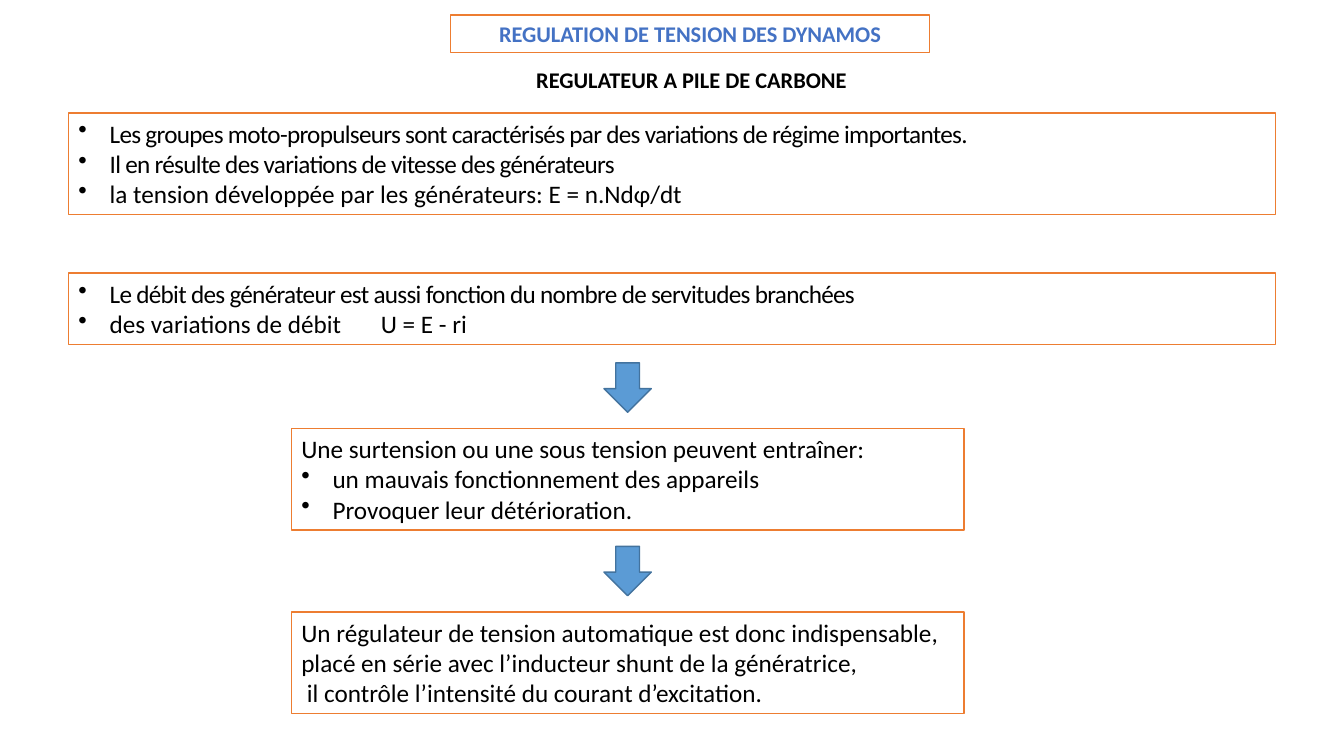
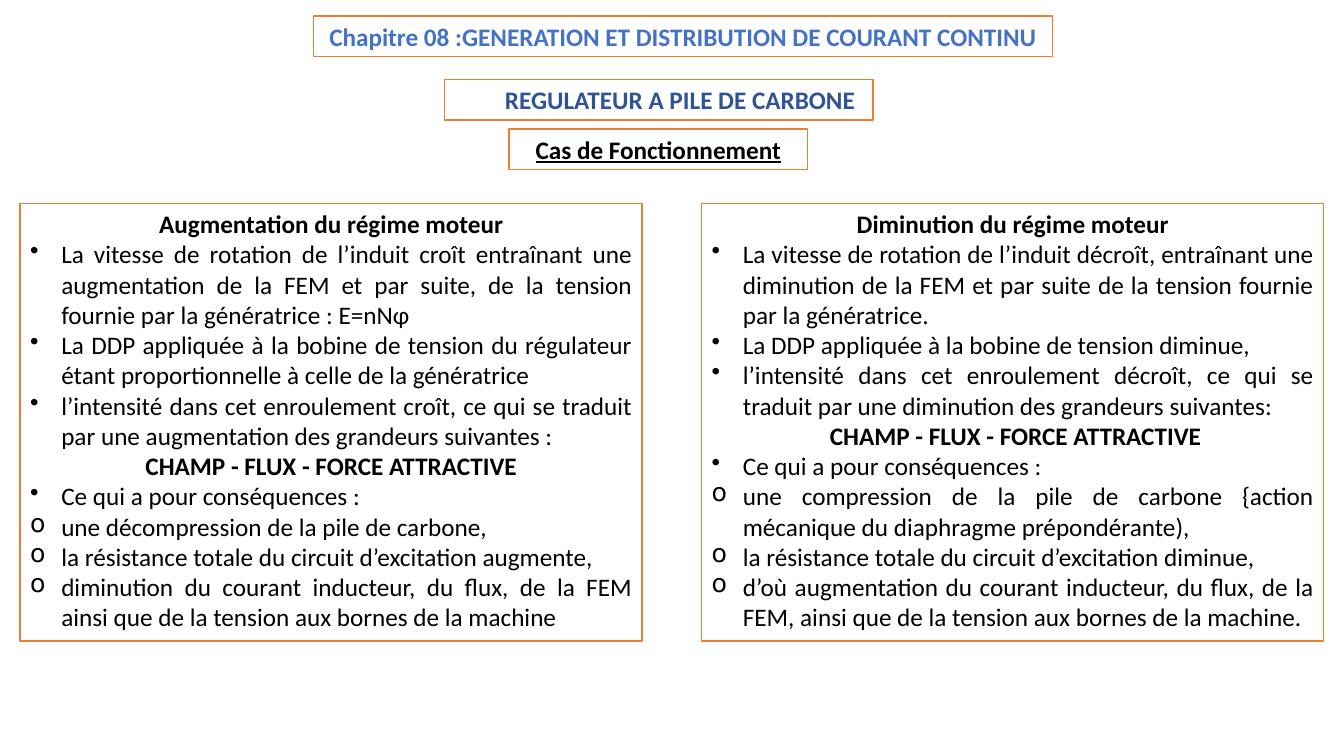
from lxml.etree import SubElement
from pptx import Presentation
from pptx.dml.color import RGBColor
from pptx.enum.shapes import MSO_SHAPE as SHAPE
from pptx.enum.text import MSO_ANCHOR as ANCHOR, PP_ALIGN as ALIGN
from pptx.oxml.ns import qn
from pptx.util import Inches, Pt

COLORS = {
    "paper": "FFFFFF",
    "ink": "000000",
    "border": "ED7D31",
    "title": "4472C4",
    "subtitle": "2F5496",
    "arrow": "5B9BD5",
    "arrow_edge": "43739E",
}
FONT = "Calibri"
HANG = 0.31

STYLES = {
    "plain": {"align": ALIGN.JUSTIFY},
    "dot": {"align": ALIGN.JUSTIFY, "bullet": "•"},
    "tight": {"align": ALIGN.JUSTIFY, "bullet": "•", "spacing": -0.5},
    "tabbed": {"bullet": "•"},
    "circle": {"align": ALIGN.JUSTIFY, "bullet": "o"},
    "heading": {"align": ALIGN.CENTER, "bold": True},
    "underlined": {"align": ALIGN.CENTER, "bold": True, "underline": True},
    "title": {"align": ALIGN.CENTER, "bold": True, "color": "title"},
    "indented": {"bold": True, "indent": 0.5},
}

FACTS = [
    ("tight", "Les groupes moto-propulseurs sont caractérisés par des variations de régime importantes."),
    ("tight", "Il en résulte des variations de vitesse des générateurs"),
    ("dot", "la tension développée par les générateurs: E = n.Ndφ/dt"),
]
LOAD = [
    ("tight", "Le débit des générateur est aussi fonction du nombre de servitudes branchées"),
    ("tabbed", "des variations de débit\tU = E - ri"),
]
EFFECTS = [
    ("plain", "Une surtension ou une sous tension peuvent entraîner:"),
    ("dot", "un mauvais fonctionnement des appareils"),
    ("dot", "Provoquer leur détérioration."),
]
SOLUTION = [
    ("plain", "Un régulateur de tension automatique est donc indispensable, "),
    ("plain", "placé en série avec l’inducteur shunt de la génératrice,"),
    ("plain", " il contrôle l’intensité du courant d’excitation."),
]
INCREASE = [
    ("heading", "Augmentation du régime moteur"),
    ("dot", "La vitesse de rotation de l’induit croît entraînant une augmentation de la FEM "
            "et par suite, de la tension fournie par la génératrice : E=nNφ"),
    ("dot", "La DDP appliquée à la bobine de tension du régulateur étant proportionnelle "
            "à celle de la génératrice"),
    ("dot", "l’intensité dans cet enroulement croît, ce qui se traduit par une augmentation "
            "des grandeurs suivantes :"),
    ("heading", "CHAMP - FLUX - FORCE ATTRACTIVE"),
    ("dot", "Ce qui a pour conséquences :"),
    ("circle", "une décompression de la pile de carbone,"),
    ("circle", "la résistance totale du circuit d’excitation augmente,"),
    ("circle", "diminution du courant inducteur, du flux, de la FEM ainsi que de la tension "
               "aux bornes de la machine"),
]
DECREASE = [
    ("heading", "Diminution du régime moteur"),
    ("dot", "La vitesse de rotation de l’induit décroît, entraînant une diminution de la FEM "
            "et par suite de la tension fournie par la génératrice."),
    ("dot", "La DDP appliquée à la bobine de tension diminue,"),
    ("dot", "l’intensité dans cet enroulement décroît, ce qui se traduit par une diminution "
            "des grandeurs suivantes:"),
    ("heading", " CHAMP - FLUX - FORCE ATTRACTIVE"),
    ("dot", "Ce qui a pour conséquences :"),
    ("circle", "une compression de la pile de carbone {action mécanique du diaphragme "
               "prépondérante),"),
    ("circle", "la résistance totale du circuit d’excitation diminue,"),
    ("circle", "d’où augmentation du courant inducteur, du flux, de la FEM, ainsi que de la "
               "tension aux bornes de la machine."),
]


def rgb(name):
    return RGBColor.from_string(COLORS[name])


def write(p, text, size=18, color="ink", bold=False, underline=False,
          align=ALIGN.LEFT, bullet=None, indent=0, spacing=0):
    p.alignment = align
    pPr = p._p.get_or_add_pPr()
    if bullet:
        pPr.set("marL", str(Inches(HANG)))
        pPr.set("indent", str(-Inches(HANG)))
        SubElement(pPr, qn("a:buChar")).set("char", bullet)
    elif indent:
        pPr.set("marL", str(Inches(indent)))
    r = p.add_run()
    r.text = text
    f = r.font
    f.name, f.size, f.bold, f.underline = FONT, Pt(size), bold, underline
    f.color.rgb = rgb(color)
    if spacing:
        r._r.get_or_add_rPr().set("spc", str(int(spacing * 100)))


def fill_text(sp, lines, **fmt):
    tf = sp.text_frame
    tf.word_wrap = True
    tf.vertical_anchor = ANCHOR.TOP
    for i, (style, text) in enumerate(lines):
        p = tf.add_paragraph() if i else tf.paragraphs[0]
        write(p, text, **{**STYLES[style], **fmt})


def add_block(s, kind, box, fill, line):
    sp = s.shapes.add_shape(kind, *map(Inches, box))
    sp.shadow.inherit = False
    sp.fill.solid()
    sp.fill.fore_color.rgb = rgb(fill)
    sp.line.color.rgb = rgb(line)
    sp.line.width = Pt(1)
    return sp


def framed(s, box, lines, **fmt):
    sp = add_block(s, SHAPE.RECTANGLE, box, "paper", "border")
    fill_text(sp, lines, **fmt)


def label(s, box, lines, **fmt):
    fill_text(s.shapes.add_textbox(*map(Inches, box)), lines, **fmt)


def step(s, box, lines, arrow_gap=0.65, arrow_w=0.47, arrow_h=0.49):
    x, y, w, h = box
    arrow = (x + (w - arrow_w) / 2, y - arrow_gap, arrow_w, arrow_h)
    add_block(s, SHAPE.DOWN_ARROW, arrow, "arrow", "arrow_edge")
    framed(s, box, lines)


def regulation_slide(s):
    framed(s, (4.47, 0.15, 4.75, 0.37),
           [("title", "REGULATION DE TENSION DES DYNAMOS")], size=16)
    label(s, (4.72, 0.61, 4.25, 0.37),
          [("indented", "REGULATEUR A PILE DE CARBONE")], size=16)
    framed(s, (0.68, 1.12, 11.97, 1.01), FACTS)
    framed(s, (0.68, 2.71, 11.97, 0.71), LOAD)
    for y, lines in ((4.25, EFFECTS), (6.07, SOLUTION)):
        step(s, (2.89, y, 6.67, 1.01), lines)


def operation_slide(s):
    framed(s, (3.11, 0.16, 7.33, 0.4),
           [("title", "Chapitre 08 :GENERATION ET DISTRIBUTION DE COURANT CONTINU")])
    framed(s, (4.41, 0.79, 4.25, 0.4),
           [("indented", "REGULATEUR A PILE DE CARBONE")], color="subtitle")
    framed(s, (5.05, 1.28, 2.96, 0.4), [("underlined", "Cas de Fonctionnement")])
    for x, lines in ((0.2, INCREASE), (6.96, DECREASE)):
        framed(s, (x, 2.02, 6.17, 4.34), lines)


def main():
    prs = Presentation()
    prs.slide_width, prs.slide_height = Inches(13.33), Inches(7.5)
    for build in (regulation_slide, operation_slide):
        build(prs.slides.add_slide(prs.slide_layouts[6]))
    prs.save("out.pptx")


if __name__ == "__main__":
    main()
